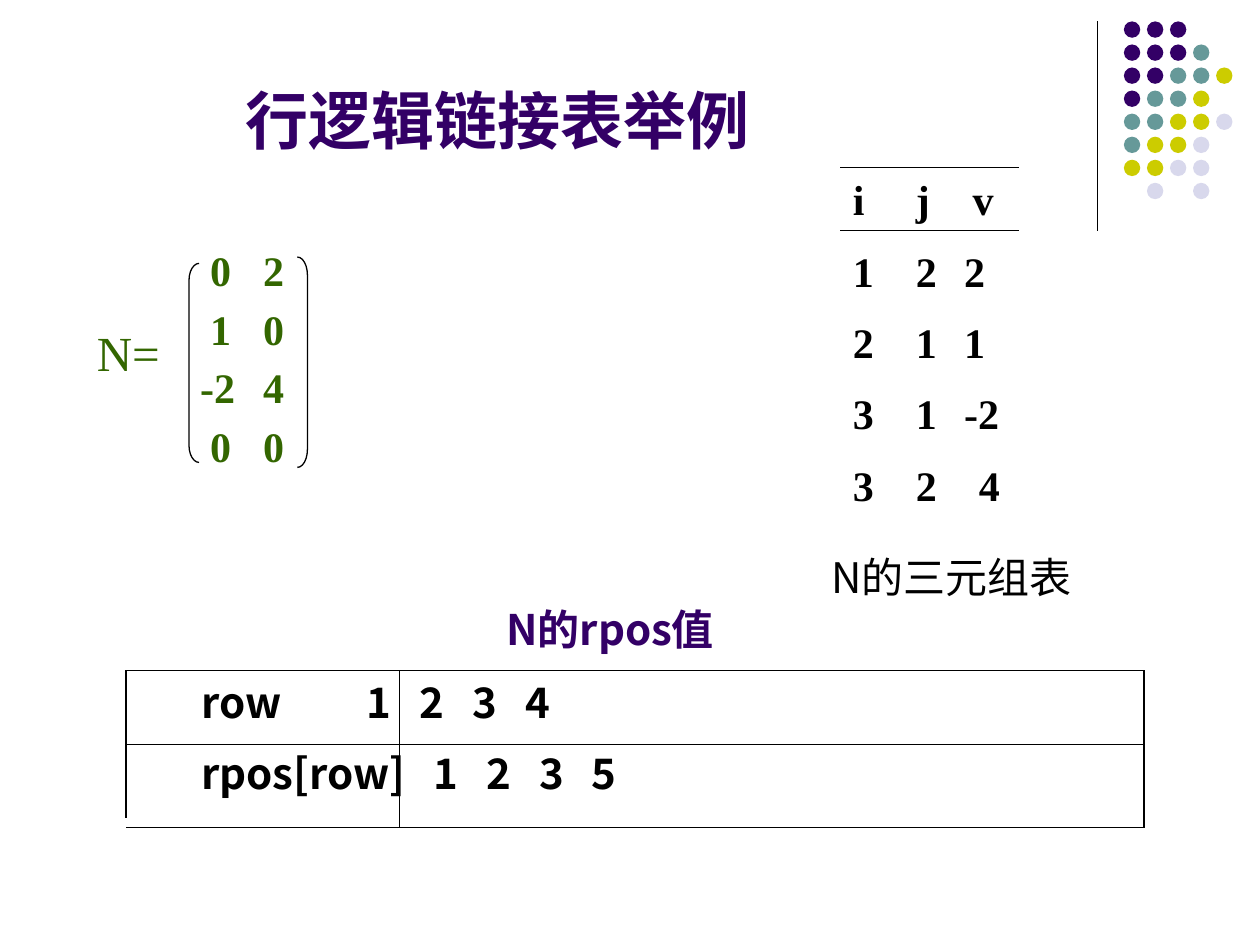
from lxml import etree
from pptx import Presentation
from pptx import util as u
from pptx.dml.color import RGBColor
from pptx.enum import shapes, text
from pptx.oxml.ns import qn

COLORS = {"black": "000000", "purple": "330066", "teal": "669999",
          "lime": "CCCC00", "lilac": "D8D8EC", "green": "336600"}
SANS, SERIF = "Noto Sans CJK SC", "Times New Roman"


def rgb(name):
    return RGBColor.from_string(COLORS[name])


def add_xml(parent, tag, **attrs):
    return etree.SubElement(parent, qn(tag), {k: str(v) for k, v in attrs.items()})


class Deck:
    font = {"size": u.Pt(24), "name": SANS, "bold": True}
    frame = {"word_wrap": True, "auto_size": text.MSO_AUTO_SIZE.SHAPE_TO_FIT_TEXT}
    line_width = u.Pt(0.75)

    def __init__(self, width, height):
        self.prs = Presentation()
        self.prs.slide_width, self.prs.slide_height = u.Inches(width), u.Inches(height)
        self.s = self.prs.slides.add_slide(self.prs.slide_layouts[6])

    def line(self, x1, y1, x2, y2):
        ends = [u.Inches(v) for v in (x1, y1, x2, y2)]
        sp = self.s.shapes.add_connector(shapes.MSO_CONNECTOR.STRAIGHT, *ends)
        sp.line.color.rgb = rgb("black")
        sp.line.width = self.line_width
        add_xml(sp._element.spPr, "a:effectLst")

    def shape(self, kind, *box):
        sp = self.s.shapes.add_shape(kind, *[u.Inches(v) for v in box])
        sp.shadow.inherit = False
        return sp

    def dot(self, x, y, size, color):
        sp = self.shape(shapes.MSO_SHAPE.OVAL, x, y, size, size)
        sp.fill.solid()
        sp.fill.fore_color.rgb = rgb(color)
        sp.line.fill.background()

    def bracket(self, kind, box, curve):
        sp = self.shape(kind, *box)
        sp.adjustments[0] = curve
        sp.fill.background()
        sp.line.color.rgb = rgb("black")
        sp.line.width = self.line_width

    def text(self, box, lines, color="black", before=50, **font):
        sp = self.s.shapes.add_textbox(*[u.Inches(v) for v in box])
        tf = sp.text_frame
        for key, value in self.frame.items():
            setattr(tf, key, value)
        for i, (words, stops, number) in enumerate(lines):
            p = tf.paragraphs[0] if i == 0 else tf.add_paragraph()
            self.paragraph(p, before, stops, number)
            r = p.add_run()
            r.text = words
            for key, value in {**self.font, **font}.items():
                setattr(r.font, key, value)
            r.font.color.rgb = rgb(color)
            latin = r._r.rPr.find(qn("a:latin"))
            latin.addnext(etree.Element(qn("a:ea"), typeface=SANS))

    def paragraph(self, p, before, stops, number):
        pPr = p._p.get_or_add_pPr()
        add_xml(add_xml(pPr, "a:spcBef"), "a:spcPct", val=before * 1000)
        if number:
            pPr.set("marL", str(u.Inches(0.5)))
            pPr.set("indent", str(u.Inches(-0.5)))
            add_xml(pPr, "a:buFont", typeface=SERIF)
            add_xml(pPr, "a:buAutoNum", type="arabicPlain", startAt=number)
        if stops:
            tabs = add_xml(pPr, "a:tabLst")
            for stop in stops:
                add_xml(tabs, "a:tab", pos=u.Inches(stop), algn="l")

    def label(self, box, words, **style):
        self.text(box, [(words, (), None)], **style)


def main():
    deck = Deck(10, 7.5)

    deck.line(8.71, 0.17, 8.71, 1.83)
    dot_colors = {"P": "purple", "T": "teal", "Y": "lime", "L": "lilac"}
    dot_rows = ["PPP", "PPPT", "PPTTY", "PTTY", "TTYYL", "TYYL", "YYLL", " L L"]
    for row, codes in enumerate(dot_rows):
        for col, code in enumerate(codes):
            if code in dot_colors:
                deck.dot(8.92 + 0.183 * col, 0.17 + 0.183 * row, 0.13, dot_colors[code])

    left, split, right = 1, 3.17, 9.08
    top, middle, bottom = 5.32, 5.91, 6.57
    for y in (top, middle, bottom):
        deck.line(left, y, right, y)
    for x, end in ((left, 6.49), (split, bottom), (right, bottom)):
        deck.line(x, top, x, end)
    rpos_rows = [("row\t1\t2\t3\t4", 1.31), ("rpos[row]\t1\t2\t3\t5", 1.84)]
    deck.text((1.5, top, 7.83, 1.1),
              [(words, [first + 0.42 * n for n in range(4)], None)
               for words, first in rpos_rows])
    deck.label((3.92, 4.74, 2.17, 0.5), "N的rpos值", color="purple")

    matrix = ["\t0\t2", "\t1\t0", "-2\t4", "\t0\t0"]
    deck.text((1.49, 1.89, 0.9, 1.96),
              [(words, (0.5,) if words[0] == "-" else (0.08, 0.5), None)
               for words in matrix],
              color="green", before=20, name=SERIF)
    deck.label((0.67, 2.51, 0.92, 0.57), "N=", color="green",
               name=SERIF, size=u.Pt(28), bold=False)
    deck.bracket(shapes.MSO_SHAPE.LEFT_BRACKET, (1.5, 2.09, 0.08, 1.58), 1.69)
    deck.bracket(shapes.MSO_SHAPE.RIGHT_BRACKET, (2.36, 2.04, 0.08, 1.67), 1.78)

    triples = [("i\tj\tv", (0.5, 0.95), None),
               ("2\t2", (0.91,), 1),
               ("1\t1", (0.91,), 2),
               ("1\t-2", (0.91,), 3),
               ("3\t2\t4", (0.5, 1), None)]
    deck.text((6.67, 1.33, 1.58, 2.93), triples, name=SERIF)
    for y in (1.83, 1.33):
        deck.line(6.67, y, 8.09, y)
    deck.label((6.5, 4.33, 2.5, 0.5), "N的三元组表", bold=False)

    deck.label((1.85, 0.6, 4.83, 0.7), "行逻辑链接表举例", color="purple",
               name=SERIF, size=u.Pt(36))
    deck.prs.save("out.pptx")


if __name__ == "__main__":
    main()
